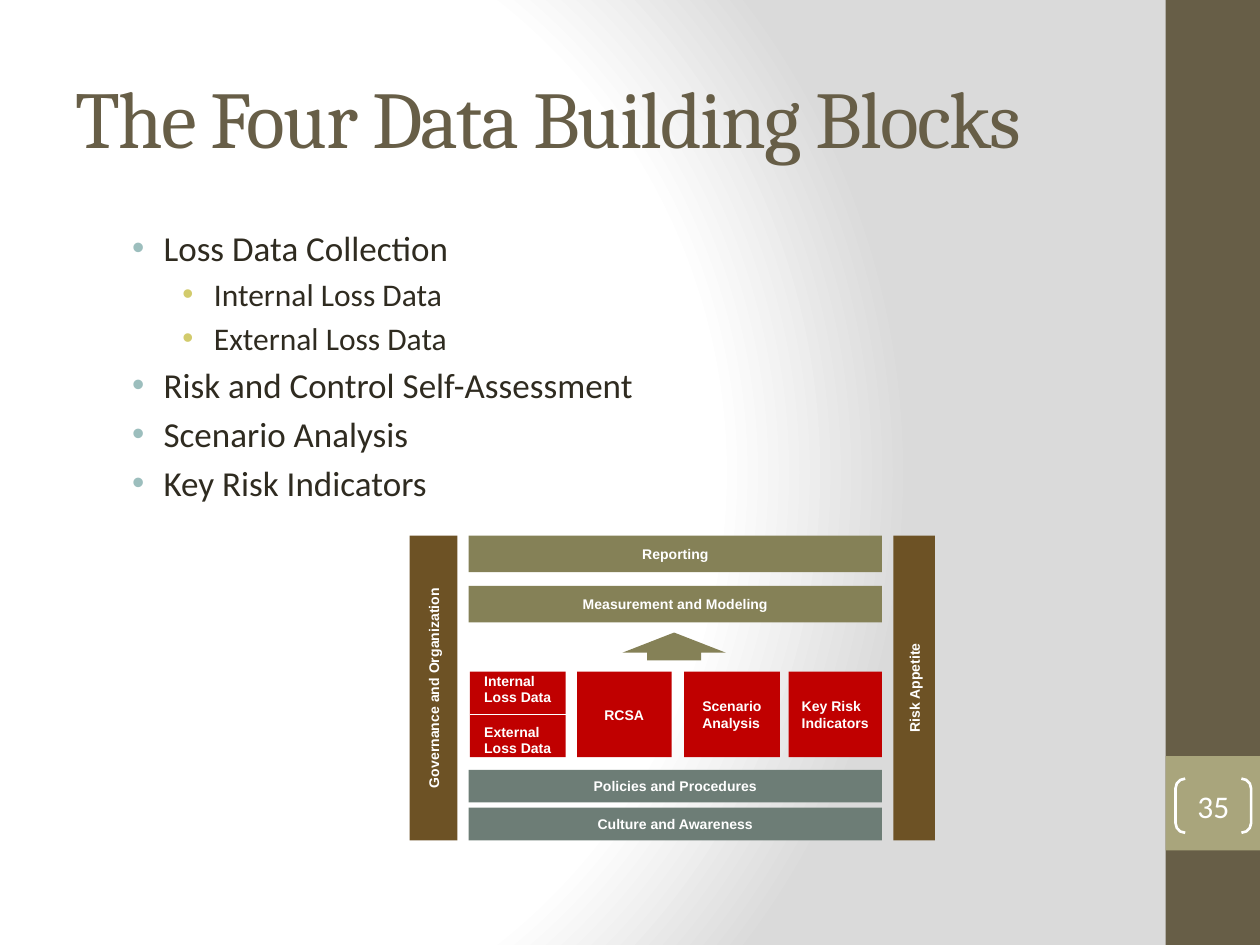
from lxml import etree
from pptx import Presentation
from pptx.dml.color import RGBColor
from pptx.enum.shapes import MSO_CONNECTOR as Line, MSO_SHAPE as Shape
from pptx.enum.text import MSO_ANCHOR as Anchor, PP_ALIGN as Align
from pptx.oxml import parse_xml
from pptx.oxml.ns import nsdecls, qn
from pptx.util import Inches, Pt

WIDTH, HEIGHT = 10, 7.5
BROWN, SAGE, WHITE = "675E47", "A9A57C", "FFFFFF"
RED, OLIVE, SLATE, UMBER = "C00000", "858157", "6D7D76", "6D5225"

BULLETS = [
    (0, "Loss Data Collection"),
    (1, "Internal Loss Data"),
    (1, "External Loss Data"),
    (0, "Risk and Control Self-Assessment"),
    (0, "Scenario Analysis"),
    (0, "Key Risk Indicators"),
]
# per level: left margin, text size, bullet colour
LEVELS = [(0.7, 20, "9CBEBD"), (1.1, 18, "D2CB6C")]


def rgb(value):
    return RGBColor.from_string(value)


def inches(box):
    return [Inches(length) for length in box]


def add_run(paragraph, text, size, font, color, bold=False):
    run = paragraph.add_run()
    run.text = text
    run.font.size, run.font.name, run.font.bold = Pt(size), font, bold
    run.font.color.rgb = rgb(color)
    return run


def add_block(slide, box, fill=None, kind=Shape.RECTANGLE):
    block = slide.shapes.add_shape(kind, *inches(box))
    block.shadow.inherit = False
    block.line.fill.background()
    if fill:
        block.fill.solid()
        block.fill.fore_color.rgb = rgb(fill)
    else:
        block.fill.background()
    return block


def set_margins(frame, margin):
    frame.margin_left = frame.margin_right = Inches(margin)
    frame.margin_top = frame.margin_bottom = Inches(margin)


def add_label(block, lines, align=Align.CENTER):
    """Left-aligned lines are centred in the block as a whole."""
    frame = block.text_frame
    frame.word_wrap, frame.vertical_anchor = True, Anchor.MIDDLE
    if align == Align.LEFT:
        frame._txBody.bodyPr.set("anchorCtr", "1")
    for index, text in enumerate(lines):
        paragraph = frame.paragraphs[0] if index == 0 else frame.add_paragraph()
        paragraph.alignment = align
        add_run(paragraph, text, 8, "Arial", WHITE, bold=True)
    return frame


def add_pillar(slide, x, y, width, height, text):
    """A bar that stands upright, turned so that its label reads upwards."""
    middle_x, middle_y = x + width / 2, y + height / 2
    box = (middle_x - height / 2, middle_y - width / 2, height, width)
    pillar = add_block(slide, box, UMBER)
    pillar.rotation = 270
    add_label(pillar, [text])


def set_background(slide):
    stops = "".join(
        f'<a:gs pos="{share * 1000}"><a:srgbClr val="{color}"/></a:gs>'
        for share, color in [(0, WHITE), (75, WHITE), (100, "DADADA")])
    slide._element.cSld.insert(0, parse_xml(
        f'<p:bg {nsdecls("p", "a")}><p:bgPr><a:gradFill rotWithShape="1">'
        f'<a:gsLst>{stops}</a:gsLst><a:path path="circle">'
        '<a:fillToRect l="20000" t="50000" r="100000" b="50000"/></a:path>'
        '</a:gradFill><a:effectLst/></p:bgPr></p:bg>'))


def add_side_band(slide, x, y, width, height):
    add_block(slide, (x, y, width, height), BROWN)
    add_block(slide, (x, y + 0.8 * height, width, 0.1 * height), SAGE)
    number = add_block(slide, (x + 0.08, y + 0.824 * height, 0.6, 0.43),
                       kind=Shape.DOUBLE_BRACKET)
    number.adjustments[0] = 0.179
    number.line.color.rgb, number.line.width = rgb(WHITE), Pt(1.5)
    frame = number.text_frame
    set_margins(frame, 0)
    frame.vertical_anchor = Anchor.MIDDLE
    frame.paragraphs[0].alignment = Align.CENTER
    add_run(frame.paragraphs[0], "35", 18, "Calibri", WHITE)


def add_title(slide, *box):
    frame = slide.shapes.add_textbox(*inches(box)).text_frame
    frame.word_wrap, frame.vertical_anchor = True, Anchor.MIDDLE
    run = add_run(frame.paragraphs[0], "The Four Data Building Blocks",
                  46, "Cambria", BROWN)
    run.font._element.set("spc", "-100")


def add_bullets(slide, *box):
    frame = slide.shapes.add_textbox(*inches(box)).text_frame
    frame.word_wrap = True
    for index, (level, text) in enumerate(BULLETS):
        margin, size, color = LEVELS[level]
        paragraph = frame.paragraphs[0] if index == 0 else frame.add_paragraph()
        paragraph.level = level
        if index:
            paragraph.space_before = Pt(0.2 * size)
        props = paragraph._p.get_or_add_pPr()
        props.set("marL", str(Inches(margin)))
        props.set("indent", str(Inches(-0.25)))
        bullet_color = etree.SubElement(props, qn("a:buClr"))
        etree.SubElement(bullet_color, qn("a:srgbClr"), val=color)
        etree.SubElement(props, qn("a:buFont"), typeface="Arial")
        etree.SubElement(props, qn("a:buChar"), char="•")
        add_run(paragraph, text, size, "Calibri", "2F2B20")


def add_loss_data(slide, x, y, width, height):
    tile = add_block(slide, (x, y, width, height), RED)
    frame = add_label(
        tile, ["Internal", "Loss Data", "External Loss Data"], Align.LEFT)
    set_margins(frame, 0.05)
    frame.paragraphs[2].space_before = Pt(10)
    middle = y + height / 2
    divider = slide.shapes.add_connector(
        Line.STRAIGHT, *inches((x, middle, x + width, middle)))
    divider.line.color.rgb, divider.line.width = rgb(WHITE), Pt(0.75)
    etree.SubElement(divider._element.spPr, qn("a:effectLst"))


def add_framework(slide, x, y, width, height):
    core_x, core_width = x + 0.47, 3.28
    bars = [
        ("Reporting", 0, 0.29, OLIVE),
        ("Measurement and Modeling", 0.4, 0.29, OLIVE),
        ("Policies and Procedures", 1.86, 0.26, SLATE),
        ("Culture and Awareness", 2.16, 0.26, SLATE),
    ]
    for text, top, bar_height, color in bars:
        bar = add_block(slide, (core_x, y + top, core_width, bar_height), color)
        add_label(bar, [text])

    tile_y, tile_height = y + 1.08, 0.68
    add_loss_data(slide, core_x + 0.01, tile_y, 0.76, tile_height)
    tiles = [("RCSA", 0.86, 0.75), ("Scenario Analysis", 1.71, 0.76),
             ("Key Risk Indicators", 2.54, 0.74)]
    for text, left, tile_width in tiles:
        tile = add_block(
            slide, (core_x + left, tile_y, tile_width, tile_height), RED)
        add_label(tile, [text], Align.LEFT)

    arrow = add_block(slide, (x + 1.99, y + 0.47, 0.22, 0.82), OLIVE,
                      Shape.RIGHT_ARROW)
    arrow.rotation = 270
    arrow.adjustments[0], arrow.adjustments[1] = 0.522, 0.726

    add_pillar(slide, x, y, 0.38, height, "Governance and Organization")
    add_pillar(slide, x + width - 0.33, y, 0.33, height, "Risk Appetite")


def main():
    deck = Presentation()
    deck.slide_width, deck.slide_height = Inches(WIDTH), Inches(HEIGHT)
    slide = deck.slides.add_slide(deck.slide_layouts[6])
    set_background(slide)
    add_side_band(slide, 0.925 * WIDTH, 0, 0.075 * WIDTH, HEIGHT)
    add_title(slide, 0.05 * WIDTH, 0.04 * HEIGHT, 8.33, 1.25)
    add_bullets(slide, 0.05 * WIDTH, 1.75, 0.9 * WIDTH, 2.33)
    add_framework(slide, 3.25, 4.25, 4.17, 2.42)
    deck.save("out.pptx")


if __name__ == "__main__":
    main()
